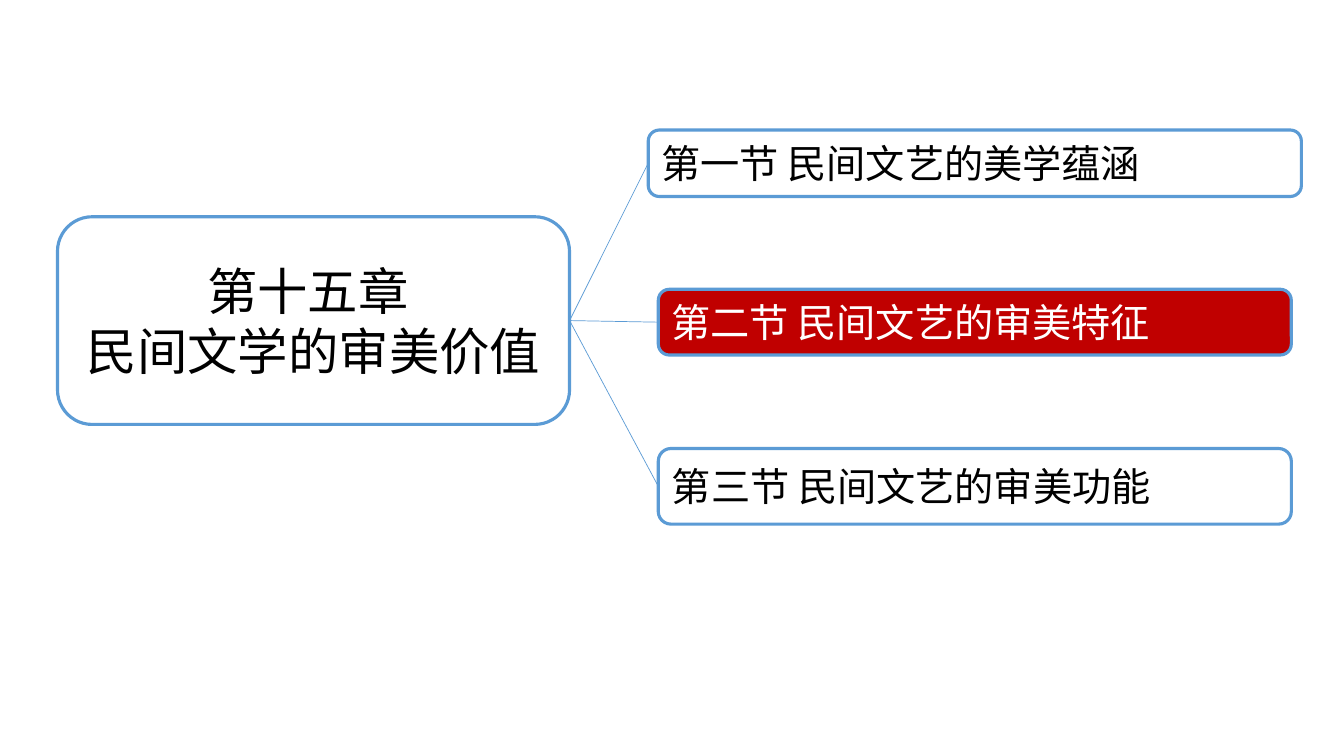
from collections import namedtuple

from lxml.etree import SubElement
from pptx import Presentation
from pptx.dml.color import RGBColor
from pptx.enum.shapes import MSO_CONNECTOR, MSO_SHAPE
from pptx.enum.text import MSO_ANCHOR, PP_ALIGN
from pptx.oxml.ns import qn
from pptx.util import Inches, Pt

COLORS = {"outline": "5B9BD5", "current": "C00000", "dark": "000000", "light": "FFFFFF"}
FONT = "Noto Sans CJK SC"
LEFT_SITE, RIGHT_SITE = 1, 3

# Boxes are measured in hundredths of the slide's width and height
Box = namedtuple("Box", "left top width height")

deck = Presentation()
deck.slide_width, deck.slide_height = Inches(13.33), Inches(7.5)
COLUMN, ROW = deck.slide_width / 100, deck.slide_height / 100


def color(name):
    return RGBColor.from_string(COLORS[name])


def add_node(page, box, lines, size, align, fill=None):
    """Rounded, outlined box with one paragraph per line of text."""
    node = page.shapes.add_shape(
        MSO_SHAPE.ROUNDED_RECTANGLE, round(box.left * COLUMN), round(box.top * ROW),
        round(box.width * COLUMN), round(box.height * ROW))
    node.shadow.inherit = False
    node.line.color.rgb = color("outline")
    node.line.width = Pt(2.25)
    if fill:
        node.fill.solid()
        node.fill.fore_color.rgb = color(fill)
    else:
        node.fill.background()

    frame = node.text_frame
    frame.word_wrap = True
    frame.vertical_anchor = MSO_ANCHOR.MIDDLE
    frame.text = "\n".join(lines)
    for para in frame.paragraphs:
        para.alignment = align
        para.font.size = Pt(size)
        para.font.name = FONT
        para.font.color.rgb = color("light" if fill else "dark")
        for span in para.runs:
            SubElement(span.font._element, qn("a:ea"), typeface=FONT)
    return node


def add_chapter(page, box):
    return add_node(page, box, ["第十五章 ", "民间文学的审美价值"], 36, PP_ALIGN.CENTER)


def add_sections(page, box):
    """Stack the section boxes at an equal pitch inside the given box."""
    sections = [  # text, side inset, height, fill
        ("第一节 民间文艺的美学蕴涵", 0, 8.8, None),
        ("第二节 民间文艺的审美特征", 0.75, 8.7, "current"),
        ("第三节 民间文艺的审美功能", 0.75, 10, None),
    ]
    pitch = (box.height - sections[-1][2]) / (len(sections) - 1)
    return [
        add_node(page, Box(box.left + inset, box.top + index * pitch,
                           box.width - 2 * inset, height), [text], 28, PP_ALIGN.LEFT, fill)
        for index, (text, inset, height, fill) in enumerate(sections)
    ]


def add_branches(page, chapter, sections):
    """Join the chapter's right side to the left side of each section."""
    for section in sections:
        branch = page.shapes.add_connector(MSO_CONNECTOR.STRAIGHT, 0, 0, 0, 0)
        branch.begin_connect(chapter, RIGHT_SITE)
        branch.end_connect(section, LEFT_SITE)
        branch.line.color.rgb = color("outline")
        branch.line.width = Pt(0.5)
        SubElement(branch._element.spPr, qn("a:effectLst"))


def add_outline_page(deck):
    page = deck.slides.add_slide(deck.slide_layouts[6])
    chapter = add_chapter(page, Box(4.28, 28.67, 38.1, 27.47))
    sections = add_sections(page, Box(48.23, 17.2, 48.6, 52.13))
    add_branches(page, chapter, sections)


add_outline_page(deck)
deck.save("out.pptx")
